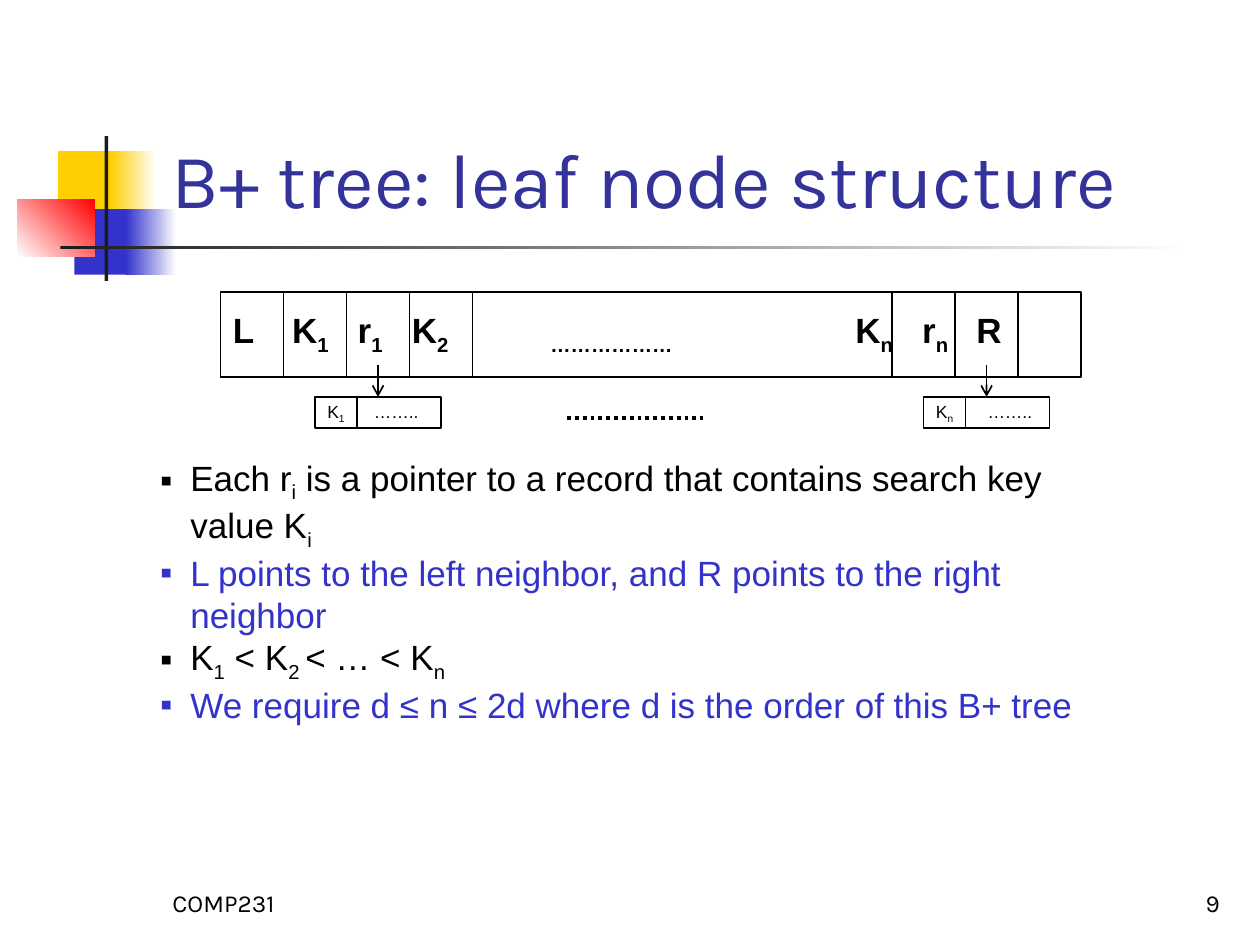
import pptx
import pptx.dml.color
import pptx.enum.dml
import pptx.enum.shapes
import pptx.enum.text
import pptx.oxml
import pptx.oxml.ns
import pptx.util
from dataclasses import dataclass

Inches = pptx.util.Inches
ANCHOR = pptx.enum.text.MSO_ANCHOR
ALIGN = pptx.enum.text.PP_ALIGN


@dataclass(frozen=True)
class Theme:
    heading: str = "Karla"
    body: str = "Arial"
    title_size: int = 44
    body_size: int = 20
    record_size: int = 10
    footer_size: int = 14
    title: str = "333399"
    ink: str = "000000"
    blue: str = "3333CC"
    yellow: str = "FFCF01"
    red: str = "FF0000"
    bar: str = "1C1C1C"
    white: str = "FFFFFF"


THEME = Theme()

# Text is a list of parts; a part (text, True) is a subscript.
TITLE = "B+ tree: leaf node structure"
BULLETS = [
    (THEME.ink, ["Each r", ("i", True),
                 " is a pointer to a record that contains search key value K", ("i", True)]),
    (THEME.blue, ["L points to the left neighbor, and R points to the right neighbor"]),
    (THEME.ink, ["K", ("1", True), " < K", ("2 ", True), "< … < K", ("n", True)]),
    (THEME.blue, ["We require d ≤ n ≤ 2d where d is the order of this B+ tree"]),
]
NODE_LABELS = ["L", "\tK", ("1", True), "\tr", ("1", True), "\tK", ("2", True),
               ("\t………………", True), "\tK", ("n", True), "\tr", ("n", True), "\tR"]
NODE_TABS = [0.47, 0.99, 1.42, 2.52, 4.94, 5.47, 5.9]
RECORDS = [(2.5, "1", 0.37), (7.33, "n", 0.41)]  # left, subscript, tab
FOOTERS = [("COMP231", 1.27, ALIGN.LEFT), ("9", 7.7, ALIGN.RIGHT)]

# left, top, width, height, colours (two make a gradient), angle
DECORATION = [
    (0.46, 1.2, 0.48, 0.52, [THEME.yellow], 0),
    (0.88, 1.2, 0.36, 0.52, [THEME.yellow, THEME.white], 0),
    (0.59, 1.66, 0.46, 0.52, [THEME.blue], 0),
    (1, 1.66, 0.4, 0.52, [THEME.blue, THEME.white], 0),
    (0.14, 1.58, 0.61, 0.46, [THEME.white, THEME.red], 45),
    (0.83, 1.08, 0.03, 1.15, [THEME.bar], 0),
    (0.48, 1.95, 9, 0.03, [THEME.bar, THEME.white], 0),
]

NODE_LEFT, NODE_TOP, NODE_WIDTH, NODE_HEIGHT = 1.75, 2.32, 6.33, 0.67
CELL = 0.5
NODE_RIGHT = NODE_LEFT + NODE_WIDTH
CELL_LEFTS = ([NODE_LEFT + CELL * i for i in (1, 2, 3)]
              + [NODE_RIGHT + CELL * i for i in (-2, -1, 0)])
RECORD_TOP, RECORD_WIDTH, RECORD_HEIGHT = 3.15, 1, 0.25


def rgb(value):
    return pptx.dml.color.RGBColor.from_string(value)


def place(shape, *box):
    shape.left, shape.top, shape.width, shape.height = map(Inches, box)


def add_xml(parent, xml):
    parent.append(pptx.oxml.parse_xml(xml.replace("/>", f" {pptx.oxml.ns.nsdecls('a')}/>", 1)))


def write(paragraph, parts, font, size, color, bold=False):
    for part in parts:
        text, subscript = part if isinstance(part, tuple) else (part, False)
        run = paragraph.add_run()
        run.text = text
        run.font.name, run.font.size, run.font.bold = font, pptx.util.Pt(size), bold
        run.font.color.rgb = rgb(color)
        if subscript:
            run._r.get_or_add_rPr().set("baseline", "-25000")


def set_tabs(paragraph, stops):
    tabs = pptx.oxml.ns.qn("a:tabLst")
    properties = paragraph._p.get_or_add_pPr()
    add_xml(properties, "<a:tabLst/>")
    for stop in stops:
        add_xml(properties.find(tabs), f'<a:tab pos="{Inches(stop)}" algn="l"/>')


def add_box(slide, *box):
    shape = slide.shapes.add_shape(pptx.enum.shapes.MSO_SHAPE.RECTANGLE, *map(Inches, box))
    shape.shadow.inherit = False
    return shape


def add_outline(slide, *box):
    shape = add_box(slide, *box)
    shape.fill.background()
    shape.line.color.rgb = rgb(THEME.ink)
    shape.line.width = pptx.util.Pt(1)
    return shape


def add_line(slide, start, end, width=1, arrow=False):
    line = slide.shapes.add_connector(
        pptx.enum.shapes.MSO_CONNECTOR.STRAIGHT, *map(Inches, (*start, *end)))
    line.line.color.rgb = rgb(THEME.ink)
    line.line.width = pptx.util.Pt(width)
    if arrow:
        add_xml(line.line._get_or_add_ln(), '<a:tailEnd type="arrow"/>')
    add_xml(line._element.spPr, "<a:effectLst/>")
    return line


def add_text(slide, *box):
    frame = slide.shapes.add_textbox(*map(Inches, box)).text_frame
    frame.word_wrap = True
    return frame


def add_decoration(slide):
    for *box, colors, angle in DECORATION:
        shape = add_box(slide, *box)
        shape.line.fill.background()
        if len(colors) == 1:
            shape.fill.solid()
            shape.fill.fore_color.rgb = rgb(colors[0])
        else:
            shape.fill.gradient()
            shape.fill.gradient_angle = angle
            for stop, color in zip(shape.fill.gradient_stops, colors):
                stop.color.rgb = rgb(color)


def fill_placeholders(slide):
    title, body = slide.shapes.title, slide.placeholders[1]
    place(title, 1.26, 0.23, 8.52, 1.6)
    title.text_frame.vertical_anchor = ANCHOR.BOTTOM
    heading = title.text_frame.paragraphs[0]
    heading.alignment = ALIGN.LEFT
    write(heading, [TITLE], THEME.heading, THEME.title_size, THEME.title)

    place(body, 1.17, 3.57, 7.75, 3.25)
    frame = body.text_frame
    for i, (color, parts) in enumerate(BULLETS):
        paragraph = frame.add_paragraph() if i else frame.paragraphs[0]
        paragraph.space_before = pptx.util.Pt(0)
        properties = paragraph._p.get_or_add_pPr()
        properties.set("marL", str(Inches(0.24)))
        properties.set("indent", str(Inches(-0.24)))
        add_xml(properties, '<a:buChar char="▪"/>')
        write(paragraph, parts, THEME.body, THEME.body_size, color)


def add_leaf_node(slide):
    add_outline(slide, NODE_LEFT, NODE_TOP, NODE_WIDTH, NODE_HEIGHT)
    for left in CELL_LEFTS:
        add_outline(slide, left, NODE_TOP, CELL, NODE_HEIGHT)
    labels = add_text(slide, NODE_LEFT, 2.4, 6.75, 0.58).paragraphs[0]
    set_tabs(labels, NODE_TABS)
    write(labels, NODE_LABELS, THEME.body, THEME.body_size, THEME.ink, bold=True)


def add_records(slide):
    for left, index, tab in RECORDS:
        record = add_outline(slide, left, RECORD_TOP, RECORD_WIDTH, RECORD_HEIGHT)
        record.text_frame.vertical_anchor = ANCHOR.MIDDLE
        content = record.text_frame.paragraphs[0]
        content.alignment = ALIGN.LEFT
        set_tabs(content, [tab])
        write(content, ["K", (index, True), "\t…….."],
              THEME.body, THEME.record_size, THEME.ink)
        divider, pointer = left + RECORD_WIDTH / 3, left + RECORD_WIDTH / 2
        add_line(slide, (divider, RECORD_TOP), (divider, RECORD_TOP + RECORD_HEIGHT))
        add_line(slide, (pointer, RECORD_TOP - 0.25), (pointer, RECORD_TOP), arrow=True)
    ellipsis = add_line(slide, (4.5, 3.32), (5.58, 3.32), width=2.25)
    ellipsis.line.dash_style = pptx.enum.dml.MSO_LINE.ROUND_DOT


def add_footers(slide):
    for text, left, alignment in FOOTERS:
        frame = add_text(slide, left, 6.83, 2.08, 0.5)
        frame.vertical_anchor = ANCHOR.BOTTOM
        frame.paragraphs[0].alignment = alignment
        write(frame.paragraphs[0], [text], THEME.heading, THEME.footer_size, THEME.ink)


def main():
    deck = pptx.Presentation()
    deck.slide_width, deck.slide_height = Inches(10), Inches(7.5)
    slide = deck.slides.add_slide(deck.slide_layouts[1])
    for build in (add_decoration, fill_placeholders, add_leaf_node, add_records, add_footers):
        build(slide)
    deck.save("out.pptx")


if __name__ == "__main__":
    main()
